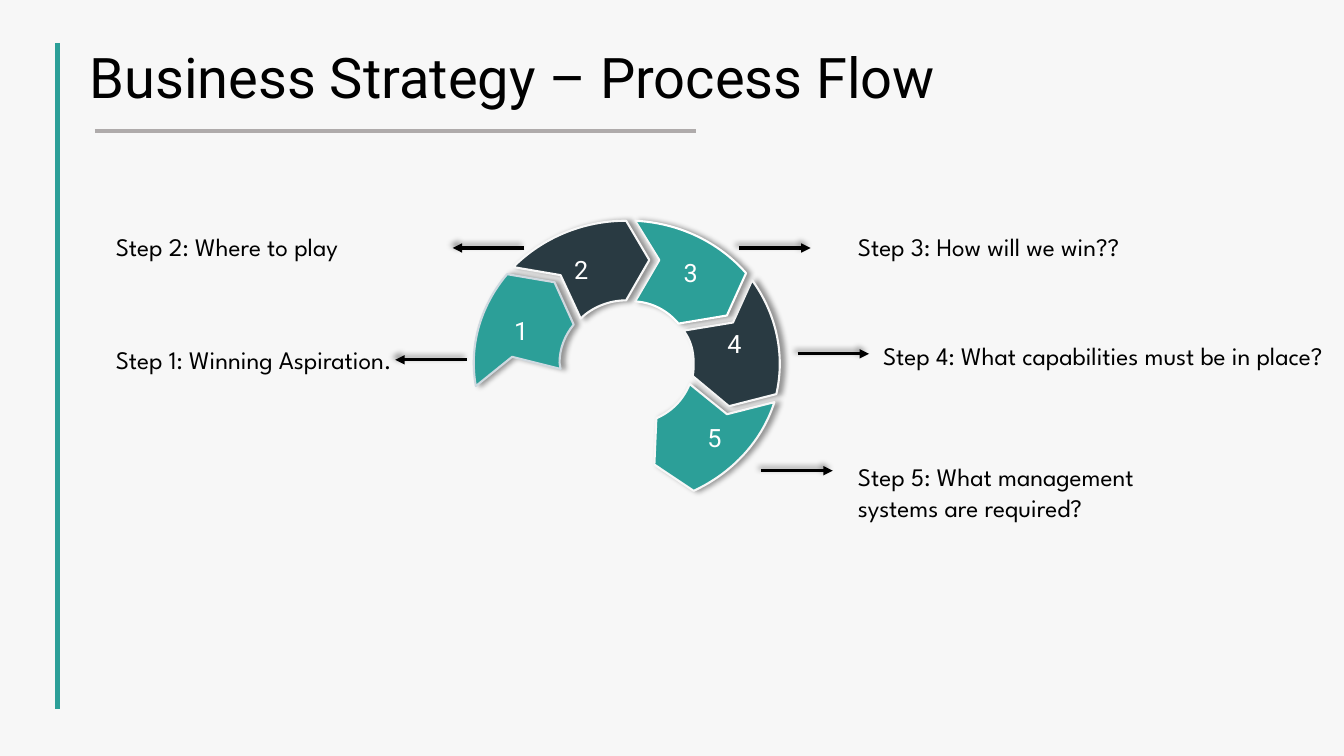
import pptx
import pptx.dml.color
import pptx.enum.shapes
import pptx.enum.text
import pptx.oxml
import pptx.oxml.ns
import pptx.util
from pptx.util import Inches

COLORS = {
    "background": "F7F7F7", "teal": "2C9F98", "navy": "293A42", "gray": "AFABAB",
    "mist": "CFD9E0", "black": "000000", "white": "FFFFFF",
}
NAMESPACE = 'xmlns:a="http://schemas.openxmlformats.org/drawingml/2006/main"'
SHADOW = (
    '<a:outerShdw blurRad="50800" dist="38100" dir="{}" algn="l" rotWithShape="0">'
    '<a:srgbClr val="000000"><a:alpha val="40000"/></a:srgbClr></a:outerShdw>'
)


def color(name):
    return pptx.dml.color.RGBColor.from_string(COLORS[name])


def add_line(start, end, line_color, width, effect=""):
    line = page.shapes.add_connector(
        pptx.enum.shapes.MSO_CONNECTOR.STRAIGHT, *map(Inches, start + end))
    line.line.color.rgb = color(line_color)
    line.line.width = pptx.util.Pt(width)
    line._element.spPr.append(
        pptx.oxml.parse_xml(f"<a:effectLst {NAMESPACE}>{effect}</a:effectLst>"))
    return line


deck = pptx.Presentation()
deck.slide_width, deck.slide_height = Inches(13.33), Inches(7.5)
page = deck.slides.add_slide(deck.slide_layouts[6])
page.background.fill.solid()
page.background.fill.fore_color.rgb = color("background")

add_line((0.57, 0.43), (0.57, 7.03), "teal", 3.25)

title_and_steps = [
    ("Business Strategy – Process Flow", 0.79, 0.4, 9.73, 1.01),
    ("Step 1: Winning Aspiration.", 1.05, 3.37, 3.08, 0.71),
    ("Step 2: Where to play", 1.05, 2.25, 3.08, 0.4),
    ("Step 3: How will we win??", 8.41, 2.25, 4.03, 0.4),
    ("Step 4: What capabilities must be in place?", 8.66, 3.33, 4.7, 0.71),
    ("Step 5: What management systems are required?", 8.41, 4.53, 3.71, 0.71),
]
for position, (wording, left, top, width, height) in enumerate(title_and_steps):
    is_title = position == 0
    box = page.shapes.add_textbox(*map(Inches, (left, top, width, height)))
    frame = box.text_frame
    frame.word_wrap = True
    frame.text = wording
    para = frame.paragraphs[0]
    if is_title:
        frame.margin_top = frame.margin_bottom = Inches(0.1)
        para.line_spacing = 0.9
    else:
        frame.auto_size = pptx.enum.text.MSO_AUTO_SIZE.SHAPE_TO_FIT_TEXT
    span = para.runs[0]
    span.font.name = "Roboto" if is_title else "League Spartan"
    span.font.size = pptx.util.Pt(40 if is_title else 18)
    span.font.color.rgb = color("black")

add_line((0.94, 1.3), (6.9, 1.3), "gray", 3)

segments = [
    ("4", "navy", "background", (7.46, 2.78), [
        (7.27, 3.2), (6.78, 3.28), (6.85, 3.37, 6.88, 3.48, 6.88, 3.6),
        (6.88, 3.64, 6.88, 3.69, 6.87, 3.73), (7.23, 4.03), (7.7, 3.91),
        (7.79, 3.52, 7.7, 3.11, 7.46, 2.78)]),
    ("3", "teal", "white", (6.3, 2.19), [
        (6.54, 2.58), (6.3, 2.99), (6.47, 3, 6.62, 3.08, 6.73, 3.21),
        (7.21, 3.13), (7.4, 2.71), (7.13, 2.4, 6.73, 2.21, 6.3, 2.19)]),
    ("5", "teal", "background", (6.84, 3.81), [
        (6.78, 3.96, 6.67, 4.08, 6.51, 4.15), (6.49, 4.61), (6.88, 4.87),
        (7.27, 4.69, 7.56, 4.37, 7.68, 3.99), (7.21, 4.11), (6.84, 3.81)]),
    ("1", "teal", "mist", (5.03, 2.72), [
        (4.76, 3.04, 4.65, 3.44, 4.72, 3.83), (5.08, 3.54), (5.56, 3.66),
        (5.56, 3.64, 5.55, 3.62, 5.55, 3.6), (5.55, 3.46, 5.6, 3.33, 5.69, 3.22),
        (5.5, 2.8), (5.03, 2.72)]),
    ("2", "navy", "background", (6.21, 2.19), [
        (5.78, 2.19, 5.38, 2.36, 5.09, 2.65), (5.56, 2.73), (5.76, 3.16),
        (5.87, 3.05, 6.04, 2.98, 6.21, 2.98), (6.44, 2.58), (6.21, 2.19)]),
]
ring = page.shapes.add_group_shape()
for number, fill_color, line_color, start, pieces in segments:
    builder = ring.shapes.build_freeform(*map(Inches, start), scale=1.0)
    for piece in pieces:
        values = list(map(Inches, piece))
        builder.add_line_segments(list(zip(values[::2], values[1::2])), close=False)
    builder.add_line_segments([], close=True)
    arrow = builder.convert_to_shape()

    strokes = list(arrow._element.iter(pptx.oxml.ns.qn("a:lnTo")))
    for piece in pieces:
        count = len(piece) // 2
        drawn, strokes = strokes[:count], strokes[count:]
        if count == 3:
            curve = pptx.oxml.parse_xml(f"<a:cubicBezTo {NAMESPACE}/>")
            drawn[0].addprevious(curve)
            for stroke in drawn:
                curve.append(stroke[0])
                stroke.getparent().remove(stroke)

    arrow.fill.solid()
    arrow.fill.fore_color.rgb = color(fill_color)
    arrow.line.color.rgb = color(line_color)
    arrow.line.width = pptx.util.Pt(1.5)
    arrow._element.spPr.append(pptx.oxml.parse_xml(
        f"<a:effectLst {NAMESPACE}>{SHADOW.format(0)}</a:effectLst>"))
    frame = arrow.text_frame
    frame.text = number
    frame.margin_top = frame.margin_bottom = Inches(0.1)
    frame.vertical_anchor = pptx.enum.text.MSO_ANCHOR.MIDDLE
    para = frame.paragraphs[0]
    para.alignment = pptx.enum.text.PP_ALIGN.CENTER
    span = para.runs[0]
    span.font.name = "Roboto"
    span.font.size = pptx.util.Pt(18)
    span.font.color.rgb = color("white")

pointer_length = 0.71
for x, y, direction in [(4.63, 3.57, -1), (7.91, 3.51, 1), (7.55, 4.67, 1),
                        (7.33, 2.46, 1), (5.2, 2.46, -1)]:
    pointer = add_line((x, y), (x + direction * pointer_length, y), "black", 2.25,
                       SHADOW.format(225 * 60000))
    pointer._element.spPr.get_or_add_ln().append(
        pptx.oxml.parse_xml(f'<a:tailEnd {NAMESPACE} type="triangle"/>'))

deck.save("out.pptx")
